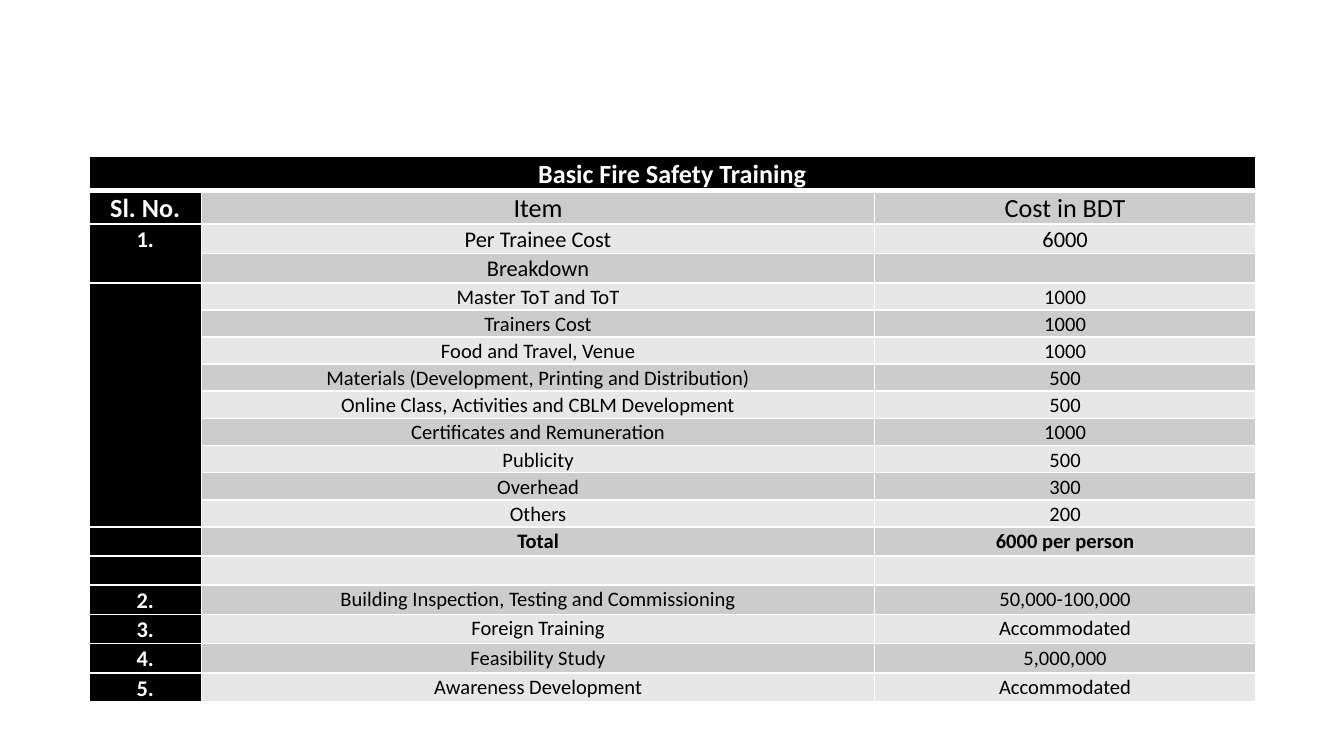
from dataclasses import dataclass

from lxml.etree import SubElement
from pptx import Presentation
from pptx.dml.color import RGBColor
from pptx.enum.text import PP_ALIGN
from pptx.oxml.ns import qn
from pptx.util import Cm, Pt


@dataclass(frozen=True)
class Theme:
    font: str = "Calibri"
    dark: str = "000000"
    light: str = "FFFFFF"
    bands: tuple = ("E7E7E7", "CCCCCC")
    head: int = 14
    main: int = 12
    detail: int = 11
    spacing: float = 1.07
    border: int = 1
    head_border: int = 3


T = Theme()
TITLE = "Basic Fire Safety Training"
HEADER = ("Sl. No.", "Item", "Cost in BDT")
TRAINEE = [("1.", "Per Trainee Cost", "6000"), ("", "Breakdown", "")]
BREAKDOWN = [
    ("", "Master ToT and ToT", "1000"),
    ("", "Trainers Cost", "1000"),
    ("", "Food and Travel, Venue", "1000"),
    ("", "Materials (Development, Printing and Distribution)", "500"),
    ("", "Online Class, Activities and CBLM Development", "500"),
    ("", "Certificates and Remuneration", "1000"),
    ("", "Publicity", "500"),
    ("", "Overhead", "300"),
    ("", "Others", "200"),
]
TOTAL = ("", "Total", "6000 per person")
SERVICES = [
    ("2.", "Building Inspection, Testing and Commissioning", "50,000-100,000"),
    ("3.", "Foreign Training", "Accommodated"),
    ("4.", "Feasibility Study", "5,000,000"),
    ("5.", "Awareness Development", "Accommodated"),
]

SECTIONS = [
    ([(TITLE, "", ""), HEADER], T.head, T.head),
    (TRAINEE, T.main, T.main),
    (BREAKDOWN, T.detail, T.detail),
    ([TOTAL, ("", "", "")] + SERVICES, T.main, T.detail),
]
ROWS = [(row, number_size, text_size)
        for rows, number_size, text_size in SECTIONS for row in rows]
COL_WIDTHS = (2.13, 12.72, 7.2)
ROW_HEIGHTS = {T.head: 0.63, T.main: 0.55, T.detail: 0.51}
LEFT, TOP = 1.68, 2.95


def set_borders(cell, **widths):
    tcPr = cell._tc.get_or_add_tcPr()
    for i, side in enumerate(("L", "R", "T", "B")):
        ln = tcPr.makeelement(qn(f"a:ln{side}"), w=str(Pt(widths.get(side, T.border))))
        fill = SubElement(ln, qn("a:solidFill"))
        SubElement(fill, qn("a:srgbClr"), val=T.light)
        tcPr.insert(i, ln)


def format_cell(cell, text, size, fill, color, bold):
    cell.fill.solid()
    cell.fill.fore_color.rgb = RGBColor.from_string(fill)
    cell.margin_left = cell.margin_right = Cm(0.18)
    cell.margin_top = cell.margin_bottom = 0
    p = cell.text_frame.paragraphs[0]
    p.text = text
    p.alignment = PP_ALIGN.CENTER
    p.line_spacing = T.spacing
    for r in p.runs:
        r.font.name = T.font
        r.font.size = Pt(size)
        r.font.bold = bold
        r.font.color.rgb = RGBColor.from_string(color)
    if not text:
        SubElement(p._p, qn("a:endParaRPr"), sz=str(size * 100))


def build_cost_table(s):
    height = sum(ROW_HEIGHTS[number_size] for _, number_size, _ in ROWS)
    table = s.shapes.add_table(len(ROWS), len(COL_WIDTHS), Cm(LEFT), Cm(TOP),
                               Cm(sum(COL_WIDTHS)), Cm(height)).table
    for col, width in zip(table.columns, COL_WIDTHS):
        col.width = Cm(width)
    for i, (row, number_size, text_size) in enumerate(ROWS):
        table.rows[i].height = Cm(ROW_HEIGHTS[number_size])
        for j, text in enumerate(row):
            cell = table.cell(i, j)
            if i == 0 or j == 0:
                format_cell(cell, text, number_size, T.dark, T.light, True)
            else:
                format_cell(cell, text, text_size, T.bands[i % 2], T.dark, row == TOTAL)
            if i == 0:
                set_borders(cell, B=T.head_border)
            elif i == 1:
                set_borders(cell, T=T.head_border)
            else:
                set_borders(cell)
    trainee = 2
    breakdown = trainee + len(TRAINEE)
    table.cell(0, 0).merge(table.cell(0, len(COL_WIDTHS) - 1))
    for first, rows in ((trainee, TRAINEE), (breakdown, BREAKDOWN)):
        table.cell(first, 0).merge(table.cell(first + len(rows) - 1, 0))


def main():
    prs = Presentation()
    prs.slide_width, prs.slide_height = Cm(25.4), Cm(14.29)
    s = prs.slides.add_slide(prs.slide_layouts[6])
    build_cost_table(s)
    prs.save("out.pptx")


if __name__ == "__main__":
    main()
